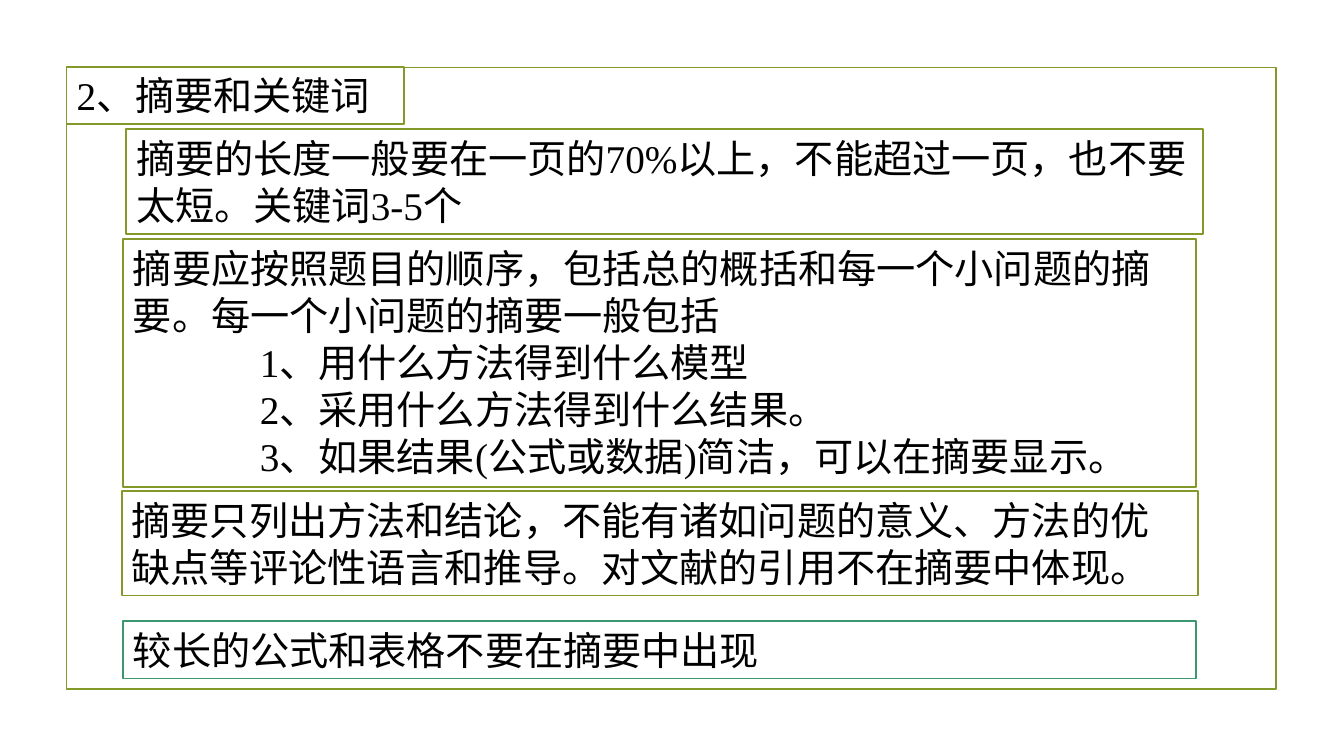
import pptx
import pptx.util
import pptx.dml.color
import pptx.enum.shapes
import pptx.enum.text

Cm = pptx.util.Cm
Pt = pptx.util.Pt

COLORS = {"olive": "83992A", "green": "3C9770", "paper": "FFFFFF", "ink": "000000"}
FONT = "Times New Roman"
SIZE = 28
INDENT = 3.2

FRAME = (1.68, 1.7, 30.48, 15.67)
BOXES = [
    ((1.68, 1.68, 8.51, 1.45), "olive", ["2、摘要和关键词"], []),
    ((3.18, 3.25, 27.13, 2.64), "olive",
     ["摘要的长度一般要在一页的70%以上，不能超过一页，也不要太短。关键词3-5个"], []),
    ((3.1, 6.02, 27.05, 6.25), "olive",
     ["摘要应按照题目的顺序，包括总的概括和每一个小问题的摘要。每一个小问题的摘要一般包括"],
     ["1、用什么方法得到什么模型",
      "2、采用什么方法得到什么结果。",
      "3、如果结果(公式或数据)简洁，可以在摘要显示。"]),
    ((3.07, 12.37, 27.13, 2.64), "olive",
     ["摘要只列出方法和结论，不能有诸如问题的意义、方法的优缺点等评论性语言和推导。对文献的引用不在摘要中体现。"], []),
    ((3.1, 15.65, 27.05, 1.45), "green", ["较长的公式和表格不要在摘要中出现"], []),
]


def tint(name):
    return pptx.dml.color.RGBColor.from_string(COLORS[name])


def add_box(slide, place, edge):
    kind = pptx.enum.shapes.MSO_SHAPE.RECTANGLE
    box = slide.shapes.add_shape(kind, *[Cm(n) for n in place])
    box.shadow.inherit = False
    box.fill.solid()
    box.fill.fore_color.rgb = tint("paper")
    box.line.color.rgb = tint(edge)
    box.line.width = Pt(1.25)
    return box


def add_text(box, heads, items):
    frame = box.text_frame
    frame.word_wrap = True
    frame.vertical_anchor = pptx.enum.text.MSO_ANCHOR.TOP
    lines = [(text, 0) for text in heads] + [(text, INDENT) for text in items]
    for num, (text, indent) in enumerate(lines):
        para = frame.add_paragraph() if num else frame.paragraphs[0]
        para.alignment = pptx.enum.text.PP_ALIGN.LEFT
        if indent:
            para._p.get_or_add_pPr().set("marL", str(int(Cm(indent))))
        run = para.add_run()
        run.text = text
        run.font.name = FONT
        run.font.size = Pt(SIZE)
        run.font.color.rgb = tint("ink")


def main():
    """Build the slide on abstracts and keywords."""
    deck = pptx.Presentation()
    deck.slide_width, deck.slide_height = Cm(33.87), Cm(19.05)
    slide = deck.slides.add_slide(deck.slide_layouts[6])
    add_box(slide, FRAME, "olive")
    for place, edge, heads, items in BOXES:
        add_text(add_box(slide, place, edge), heads, items)
    deck.save("out.pptx")


if __name__ == "__main__":
    main()
